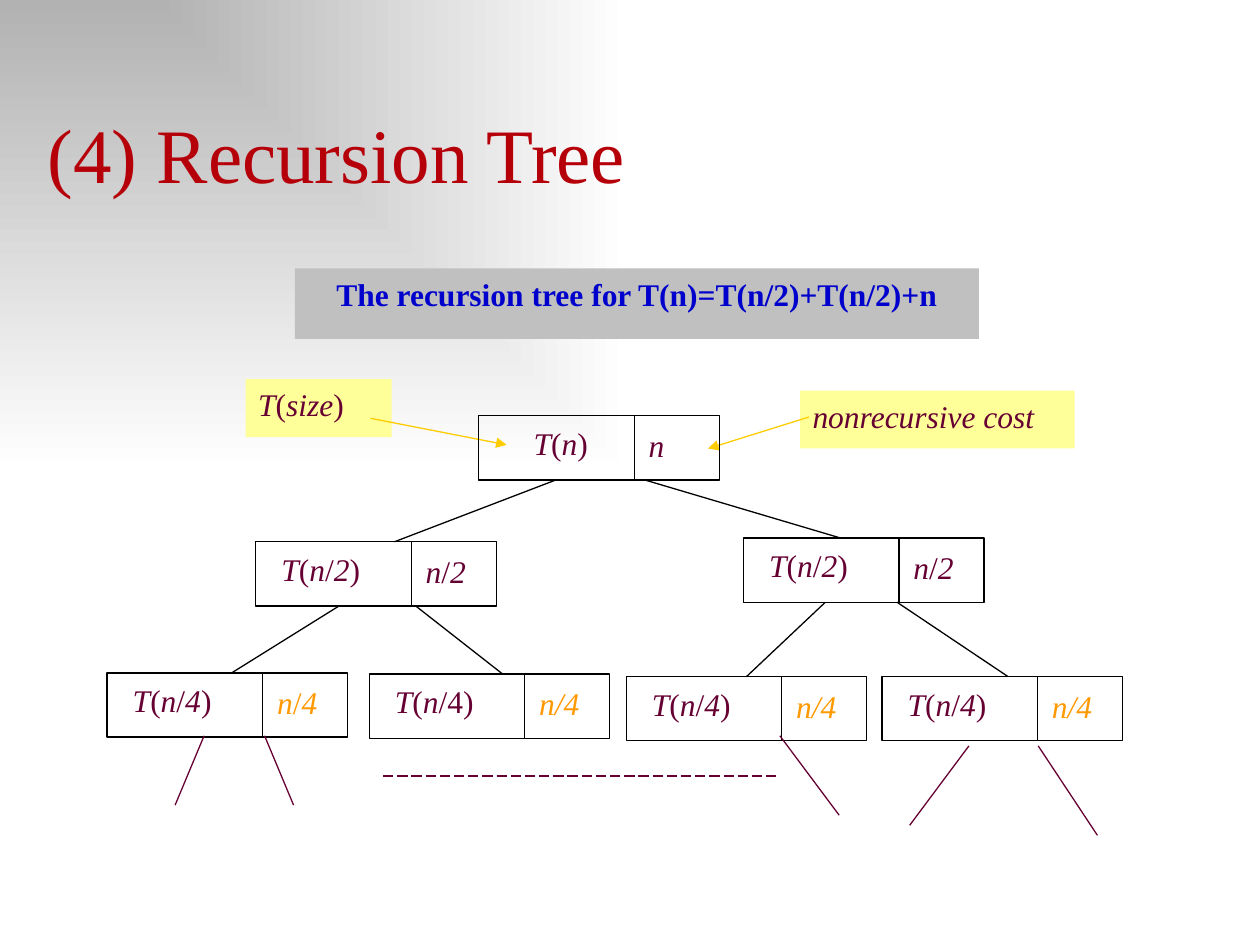
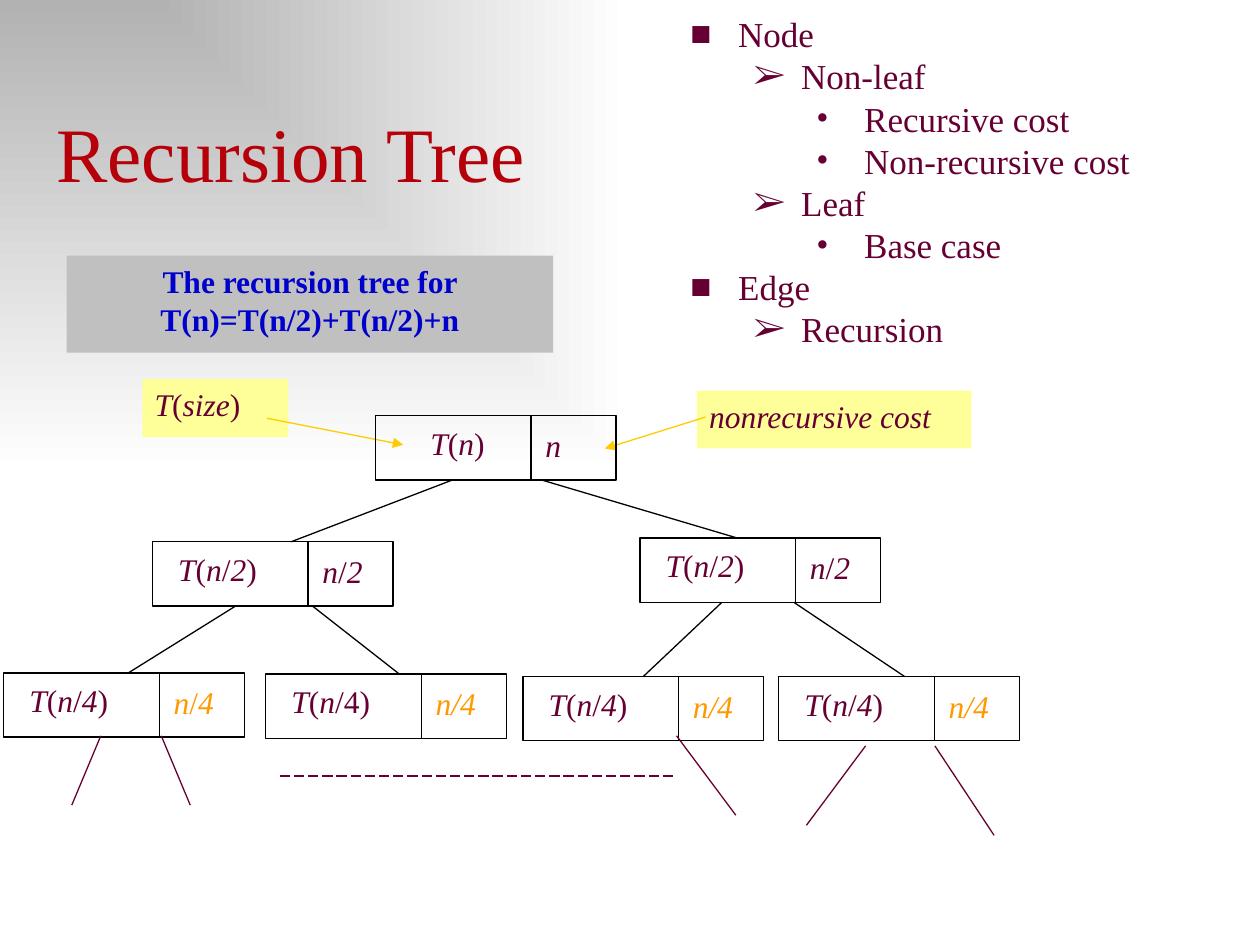
from pptx import Presentation
from pptx.dml.color import RGBColor
from pptx.enum.dml import MSO_LINE
from pptx.enum.shapes import MSO_CONNECTOR, MSO_SHAPE
from pptx.enum.text import MSO_ANCHOR, PP_ALIGN
from pptx.oxml import parse_xml
from pptx.oxml.ns import nsdecls, qn
from pptx.util import Inches, Pt

STRAIGHT = MSO_CONNECTOR.STRAIGHT
RECTANGLE = MSO_SHAPE.RECTANGLE
LONG_DASH = MSO_LINE.LONG_DASH
TOP, BOTTOM = MSO_ANCHOR.TOP, MSO_ANCHOR.BOTTOM
LEFT, CENTER, JUSTIFY = PP_ALIGN.LEFT, PP_ALIGN.CENTER, PP_ALIGN.JUSTIFY

BLACK = RGBColor(0x00, 0x00, 0x00)
WHITE = RGBColor(0xFF, 0xFF, 0xFF)
TITLE_RED = RGBColor(0xB6, 0x00, 0x09)
PLUM = RGBColor(0x66, 0x00, 0x33)
ORANGE = RGBColor(0xFF, 0x99, 0x00)
GOLD = RGBColor(0xFF, 0xCC, 0x00)
PALE_YELLOW = RGBColor(0xFF, 0xFF, 0x99)
SILVER = RGBColor(0xC0, 0xC0, 0xC0)
BLUE = RGBColor(0x00, 0x00, 0xCC)
FADE_GREY = RGBColor(0xB2, 0xB2, 0xB2)

# The slide is a grid of 100 columns by 75 rows
SLIDE_W, SLIDE_H = Inches(10), Inches(7.5)
COL, ROW = SLIDE_W / 100, SLIDE_H / 75

FONT = "Times New Roman"
TITLE_STYLE = {"size": Pt(44)}
LABEL_STYLE = {"size": Pt(18)}
CAPTION_STYLE = {"size": Pt(18), "bold": True}
OUTLINE_STYLE = {"size": Pt(20)}

CAPTION = "The recursion tree for T(n)=T(n/2)+T(n/2)+n"

# Tree parts, in columns and rows from the tree's top left corner.
# Text between asterisks is italic.
NODE_W, NODE_H, DIVIDER = 19.1, 5.1, 12.35
ROOT = (29.5, 2.9, "*T*(*n*)", "*n*", PLUM)
SUBPROBLEMS = [
    (61.5, 23.6, "*T*(*n*/*4*)", "*n/4*", ORANGE),
    (41.2, 23.6, "*T*(*n*/*4*)", "*n/4*", ORANGE),
    (20.8, 23.4, "*T*(*n*/4)", "*n/4*", ORANGE),
    (0, 23.3, "*T*(*n*/*4*)", "*n*/*4*", ORANGE),
    (50.5, 12.6, "*T*(*n*/*2*)", "*n*/*2*", PLUM),
    (11.8, 12.9, "*T*(*n*/*2*)", "*n*/*2*", PLUM),
]
THIRD_LEAF = 1  # index in SUBPROBLEMS
CALLOUTS = [  # box, text, arrow start, arrow end
    ((11, 0, 11.6, 4.6), "*T*(*size*)", (20.9, 3.1), (31.7, 5.2)),
    ((55, 0.9, 21.8, 4.6), "*nonrecursive cost*", (55.7, 3), (47.7, 5.5)),
]
BRANCHES = [
    ((35.6, 8), (22.8, 12.9)),
    ((42.7, 8), (58.2, 12.6)),
    ((18.4, 18), (9.9, 23.3)),
    ((24.5, 18), (31.4, 23.4)),
    ((62.7, 17.7), (71.5, 23.6)),
]
THIRD_LEAF_BRANCH = ((57, 17.7), (50.75, 23.6))
STUBS = [
    ((7.7, 28.3), (5.4, 33.8)),
    ((12.5, 28.3), (14.8, 33.8)),
    ((53.4, 28.3), (58.1, 34.6)),
    ((68.4, 29.1), (63.7, 35.4)),
    ((73.9, 29.1), (78.6, 36.2)),
]
ELLIPSIS = ((21.9, 31.5), (53.4, 31.5))

BULLETS = "■➢•"
OUTLINE = [
    (0, "Node"),
    (1, "Non-leaf"),
    (2, "Recursive cost"),
    (2, "Non-recursive cost"),
    (1, "Leaf"),
    (2, "Base case"),
    (0, "Edge"),
    (1, "Recursion"),
]


def grid(*lengths):
    """Turn alternating columns and rows into slide units."""
    return [round(n * (ROW if i % 2 else COL)) for i, n in enumerate(lengths)]


def write(paragraph, text, style, color, align=LEFT):
    paragraph.alignment = align
    for i, piece in enumerate(text.split("*")):
        if piece:
            run = paragraph.add_run()
            run.text = piece
            for key, value in {"name": FONT, "italic": i % 2 == 1, **style}.items():
                setattr(run.font, key, value)
            run.font.color.rgb = color


def add_text(shapes, box, text, style, color, align=LEFT, anchor=TOP):
    frame = shapes.add_textbox(*grid(*box)).text_frame
    frame.word_wrap = True
    frame.vertical_anchor = anchor
    write(frame.paragraphs[0], text, style, color, align)


def add_box(shapes, box, fill=None, outline=None):
    rectangle = shapes.add_shape(RECTANGLE, *grid(*box))
    rectangle.shadow.inherit = False
    if fill is None:
        rectangle.fill.background()
    else:
        rectangle.fill.solid()
        rectangle.fill.fore_color.rgb = fill
    if outline is None:
        rectangle.line.fill.background()
    else:
        rectangle.line.color.rgb = outline
        rectangle.line.width = Pt(0.75)
    return rectangle


def add_panel(shapes, box, text, fill, style, color, align):
    frame = add_box(shapes, box, fill).text_frame
    frame.word_wrap = True
    frame.vertical_anchor = TOP
    write(frame.paragraphs[0], text, style, color, align)


def add_line(shapes, start, end, color, dash=None, arrow=False):
    connector = shapes.add_connector(STRAIGHT, *grid(*start, *end))
    connector.line.color.rgb = color
    connector.line.width = Pt(0.75)
    if dash:
        connector.line.dash_style = dash
    properties = connector._element.spPr
    if arrow:
        head = parse_xml(f'<a:tailEnd {nsdecls("a")} type="triangle"/>')
        properties.find(qn("a:ln")).append(head)
    properties.append(parse_xml(f'<a:effectLst {nsdecls("a")}/>'))
    return connector


def fade_background(master):
    """Fade from grey in the top left corner to white."""
    fill = master.background.fill
    fill.gradient()
    for stop, color in zip(fill.gradient_stops, (FADE_GREY, WHITE)):
        stop.color.rgb = color
    gradient = master.element.cSld.find(".//" + qn("a:gradFill"))
    gradient.replace(
        gradient.find(qn("a:lin")),
        parse_xml(
            f'<a:path {nsdecls("a")} path="rect">'
            '<a:fillToRect r="100000" b="100000"/></a:path>'
        ),
    )


def add_node(shapes, x, y, size, cost, cost_color, fill=None, align=JUSTIFY):
    frame = add_box(shapes, (x, y, NODE_W, NODE_H), fill, BLACK)
    add_line(shapes, (x + DIVIDER, y), (x + DIVIDER, y + NODE_H), BLACK)
    add_text(shapes, (x + 1.05, y + 0.15, 10.9, 4.8), size, LABEL_STYLE, PLUM, align)
    add_text(shapes, (x + 12.5, y + 0.3, 7.8, 5.6), cost, LABEL_STYLE, cost_color, JUSTIFY)
    return frame


def add_tree(slide, left, top):
    shapes = slide.shapes

    def at(x, y):
        return left + x, top + y

    # Callouts with their arrows
    for (x, y, width, height), text, start, end in CALLOUTS:
        add_panel(shapes, (*at(x, y), width, height), text, PALE_YELLOW,
                  LABEL_STYLE, PLUM, JUSTIFY)
        add_line(shapes, at(*start), at(*end), GOLD, arrow=True)

    # Root and subproblems
    x, y, *labels = ROOT
    add_node(shapes, *at(x, y), *labels, align=CENTER)
    frames = [
        add_node(shapes.add_group_shape().shapes, *at(x, y), *labels, fill=WHITE)
        for x, y, *labels in SUBPROBLEMS
    ]

    # Branches between the levels
    for start, end in BRANCHES:
        add_line(shapes, at(*start), at(*end), BLACK)
    start, end = THIRD_LEAF_BRANCH
    branch = add_line(shapes, at(*start), at(*end), BLACK)
    branch.end_connect(frames[THIRD_LEAF], 0)

    # Levels left out
    for start, end in STUBS:
        add_line(shapes, at(*start), at(*end), PLUM)
    start, end = ELLIPSIS
    add_line(shapes, at(*start), at(*end), PLUM, dash=LONG_DASH)


def add_outline(slide, box):
    frame = slide.shapes.add_textbox(*grid(*box)).text_frame
    frame.word_wrap = True
    for i, (level, text) in enumerate(OUTLINE):
        paragraph = frame.add_paragraph() if i else frame.paragraphs[0]
        paragraph.level = level
        paragraph.line_spacing = Pt(24.1)
        properties = paragraph._p.get_or_add_pPr()
        properties.set("marL", str(Inches(0.38 + 0.5 * level)))
        properties.set("indent", str(-Inches(0.38)))
        for tag in (f'buFont {nsdecls("a")} typeface="{FONT}"',
                    f'buChar {nsdecls("a")} char="{BULLETS[level]}"'):
            properties.append(parse_xml(f"<a:{tag}/>"))
        write(paragraph, text, OUTLINE_STYLE, PLUM)


def add_tree_slide(prs, title, title_box, caption_box, tree_corner):
    slide = prs.slides.add_slide(prs.slide_layouts[6])
    add_text(slide.shapes, title_box, title, TITLE_STYLE, TITLE_RED, anchor=BOTTOM)
    add_panel(slide.shapes, caption_box, CAPTION, SILVER, CAPTION_STYLE, BLUE, CENTER)
    add_tree(slide, *tree_corner)
    return slide


def main():
    prs = Presentation()
    prs.slide_width, prs.slide_height = SLIDE_W, SLIDE_H
    fade_background(prs.slide_master)

    add_tree_slide(prs, "(4) Recursion Tree", (2.8, 8, 94.5, 8.3),
                   (23.4, 21.3, 54.3, 5.6), (8.5, 30.1))
    parts_slide = add_tree_slide(prs, "Recursion Tree", (3.5, 7.9, 94.5, 8.3),
                                 (5.3, 20.3, 38.6, 7.7), (0.3, 30.1))
    add_outline(parts_slide, (53.8, 0.5, 39.1, 27.9))

    prs.save("out.pptx")


if __name__ == "__main__":
    main()
